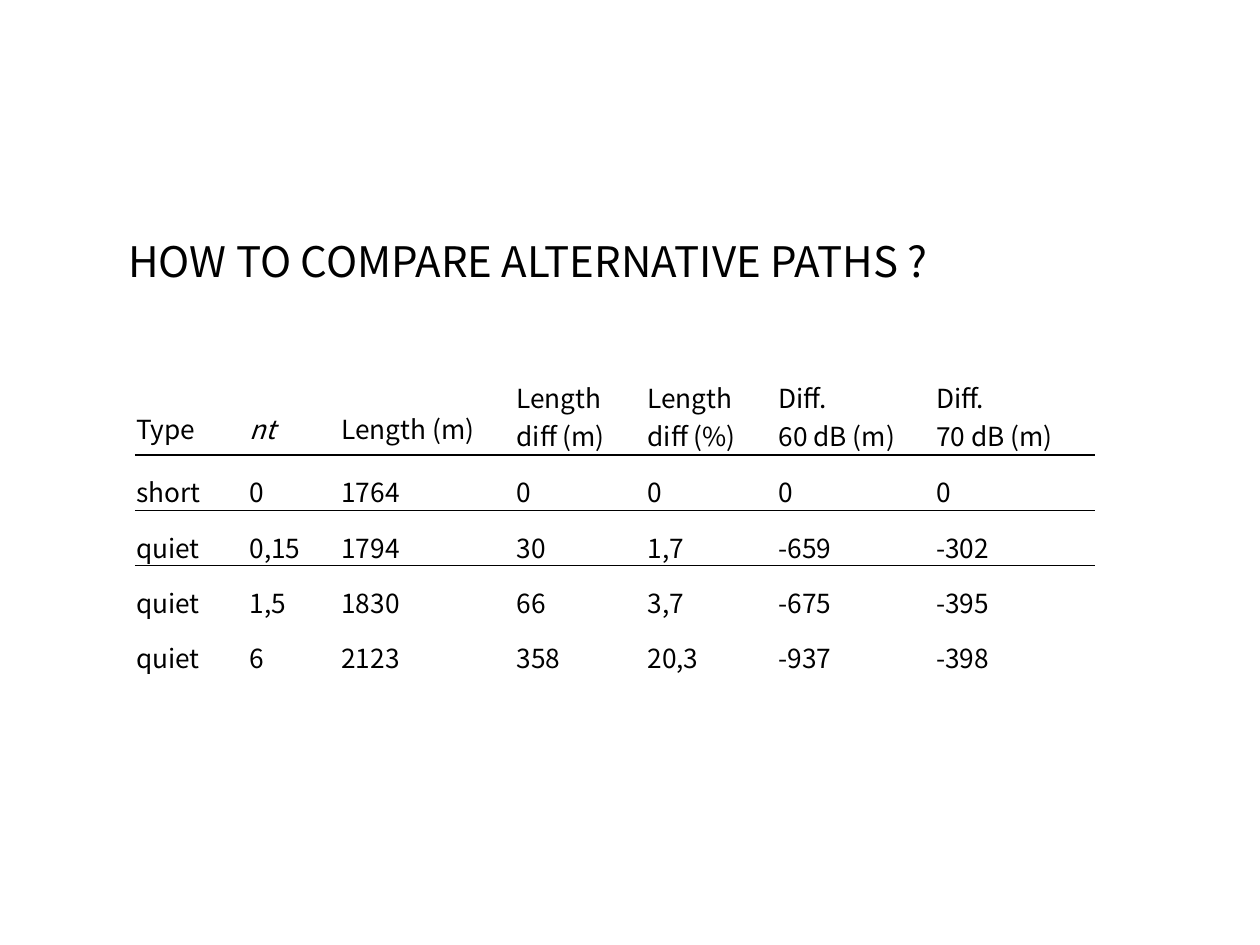
from dataclasses import dataclass

from lxml import etree
from pptx import Presentation
from pptx import util as u
from pptx.dml.color import RGBColor
from pptx.enum import text
from pptx.oxml.ns import qn


@dataclass(frozen=True)
class Theme:
    font: str = "Noto Sans CJK KR"
    ink: str = "000000"
    title_size: float = 24
    table_size: float = 15
    spacer_size: float = 1
    rule_width: float = 1
    plain_table: str = "{2D5ABB26-0587-4C30-8999-92F81FD0307C}"


class Deck:
    def __init__(self, theme, width, height):
        self.theme = theme
        self.prs = Presentation()
        self.prs.slide_width = u.Inches(width)
        self.prs.slide_height = u.Inches(height)
        self.slide = self.prs.slides.add_slide(self.prs.slide_layouts[6])

    def style(self, paragraph, size, italic=False):
        font = paragraph.font
        font.name = self.theme.font
        font.size = u.Pt(size)
        font.italic = italic
        font.color.rgb = RGBColor.from_string(self.theme.ink)

    def title(self, wording, left, top, width, height):
        frame = self.slide.shapes.add_textbox(
            *map(u.Inches, (left, top, width, height))).text_frame
        frame.word_wrap = True
        frame.vertical_anchor = text.MSO_ANCHOR.MIDDLE
        frame.text = wording
        frame.paragraphs[0].line_spacing = 0.9
        self.style(frame.paragraphs[0], self.theme.title_size)

    def rule(self, cell, side):
        """Draw a cell border; side is 'T' or 'B'."""
        line = etree.SubElement(cell._tc.get_or_add_tcPr(), qn(f"a:ln{side}"),
                                w=str(u.Pt(self.theme.rule_width)))
        fill = etree.SubElement(line, qn("a:solidFill"))
        etree.SubElement(fill, qn("a:srgbClr"), val=self.theme.ink)

    def cell(self, cell, wording, italic=False):
        cell.margin_left = cell.margin_right = cell.margin_top = u.Inches(0.01)
        cell.margin_bottom = 0
        cell.vertical_anchor = text.MSO_ANCHOR.BOTTOM
        cell.text = wording
        for paragraph in cell.text_frame.paragraphs:
            self.style(paragraph, self.theme.table_size, italic)

    def spacer(self, cell):
        cell.margin_left = cell.margin_right = 0
        cell.margin_top = cell.margin_bottom = 0
        paragraph = cell.text_frame.paragraphs[0]
        self.style(paragraph, self.theme.spacer_size)
        etree.SubElement(paragraph._p, qn("a:endParaRPr"),
                         sz=str(int(self.theme.spacer_size * 100)))

    def table(self, rows, left, top, widths, heights, ruled, italics):
        """An empty row is a spacer; ruled maps row numbers to border sides."""
        table = self.slide.shapes.add_table(
            len(rows), len(widths), u.Inches(left), u.Inches(top),
            u.Inches(sum(widths)), u.Inches(sum(heights))).table
        table.first_row = table.horz_banding = False
        table._tbl.tblPr.find(qn("a:tableStyleId")).text = self.theme.plain_table
        for column, width in zip(table.columns, widths):
            column.width = u.Inches(width)
        for r, (row, height) in enumerate(zip(rows, heights)):
            table.rows[r].height = u.Inches(height)
            for c in range(len(widths)):
                cell = table.cell(r, c)
                if row:
                    self.cell(cell, row[c], (r, c) in italics)
                else:
                    self.spacer(cell)
                for side in ruled.get(r, ""):
                    self.rule(cell, side)
                cell.fill.background()


def main():
    deck = Deck(Theme(), 10, 7.5)

    # Heading
    deck.title("HOW TO COMPARE ALTERNATIVE PATHS ?", 0.92, 1.65, 8.62, 0.89)

    # Comparison of the short path with the quiet ones
    paths = [
        ["Type", "nt", "Length (m)", "Length diff (m)", "Length diff (%)",
         "Diff.\n60 dB (m)", "Diff.\n70 dB (m)"],
        [],
        ["short", "0", "1764", "0", "0", "0", "0"],
        ["quiet", "0,15", "1794", "30", "1,7", "-659", "-302"],
        ["quiet", "1,5", "1830", "66", "3,7", "-675", "-395"],
        ["quiet", "6", "2123", "358", "20,3", "-937", "-398"],
    ]
    deck.table(paths, 1.07, 2.99,
               widths=[0.9, 0.73, 1.39, 1.04, 1.04, 1.25, 1.27],
               heights=[0.56, 0.06] + [0.44] * 4,
               ruled={1: "B", 2: "TB", 3: "T"},
               italics={(0, 1)})

    deck.prs.save("out.pptx")


if __name__ == "__main__":
    main()
